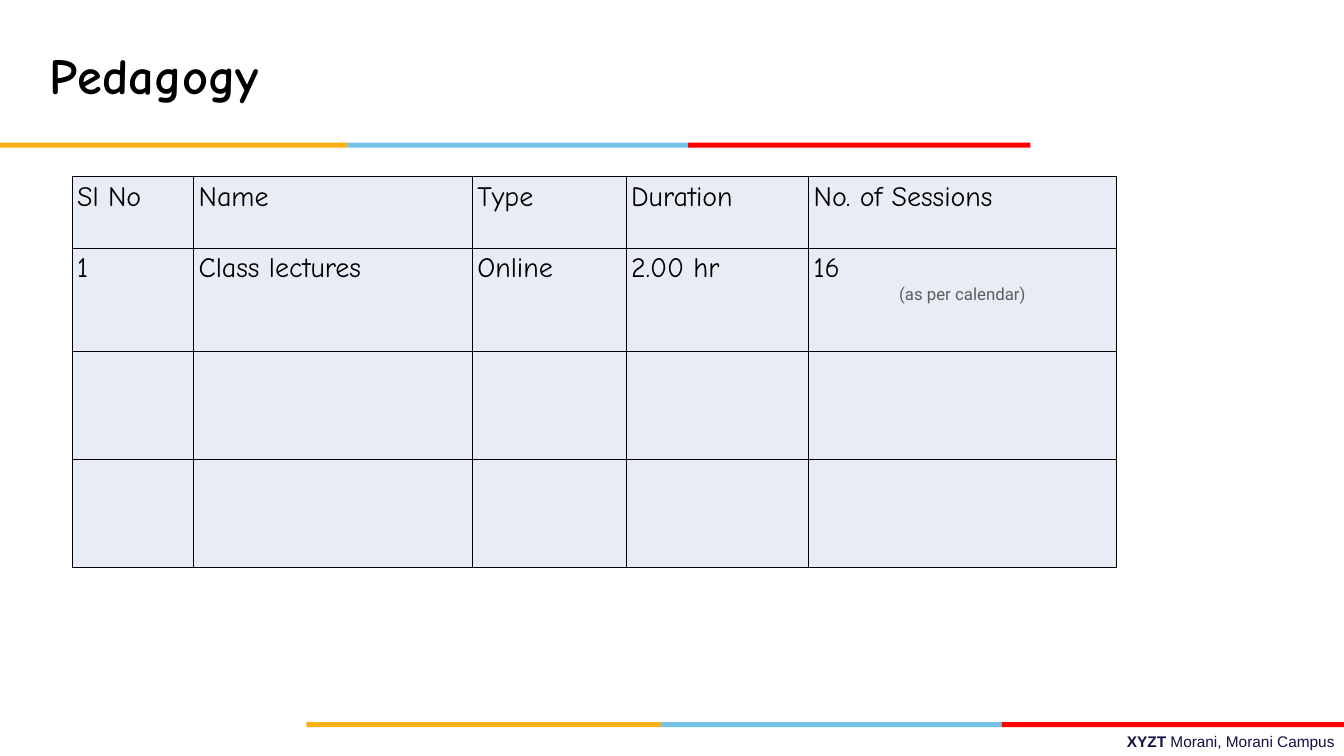
"""Build the Pedagogy slide: a title, two tricolour rules, a session table and a campus footer."""
from itertools import pairwise

from lxml import etree
from pptx import Presentation
from pptx import util as u
from pptx.dml.color import RGBColor
from pptx.enum import shapes, text
from pptx.oxml.ns import qn

WIDTH, HEIGHT = 26.66, 15
BLACK = RGBColor(0x00, 0x00, 0x00)
GREY = RGBColor(0x5E, 0x5E, 0x5E)
NAVY = RGBColor(0x10, 0x11, 0x41)
CELL = RGBColor(0xE8, 0xEC, 0xF4)
ORANGE = RGBColor(0xFC, 0xB0, 0x17)
BLUE = RGBColor(0x76, 0xC2, 0xE5)
RED = RGBColor(0xFF, 0x00, 0x00)

TITLE = "Pedagogy"
FOOTER = [("XYZT ", True), ("Morani, Morani Campus", False)]
ROWS = [
    ["Sl No", "Name", "Type", "Duration", "No. of Sessions"],
    ["1", "Class lectures", "Online", "2.00 hr", "16"],
]
SESSION_NOTE = "(as per calendar)"
COLUMN_WIDTHS = [2.41, 5.53, 3.05, 3.62, 6.1]
ROW_HEIGHTS = [1.42, 2.06, 2.14, 2.14]
RULES = [
    (2.83, [0, 6.89, 13.65, 20.44]),
    (14.33, [6.08, 13.11, 19.87, WIDTH]),
]


def add_span(para, words, size, font, color, bold=False):
    span = para.add_run()
    span.text = words
    span.font.size = u.Pt(size)
    span.font.name = font
    span.font.bold = bold
    span.font.color.rgb = color


def place(box, left, top, width, height):
    box.left, box.top = u.Inches(left), u.Inches(top)
    box.width, box.height = u.Inches(width), u.Inches(height)


def set_insets(frame, inset=0.1):
    frame.margin_left = frame.margin_right = u.Inches(inset)
    frame.margin_top = frame.margin_bottom = u.Inches(inset)
    frame.word_wrap = True


def add_rule(page, top, edges):
    for (left, right), color in zip(pairwise(edges), (ORANGE, BLUE, RED)):
        stripe = page.shapes.add_shape(
            shapes.MSO_SHAPE.RECTANGLE, u.Inches(left), u.Inches(top),
            u.Inches(right - left), u.Inches(0.1))
        stripe.shadow.inherit = False
        stripe.fill.solid()
        stripe.fill.fore_color.rgb = color
        stripe.line.fill.background()


def add_footer(page):
    box = page.shapes.add_textbox(
        u.Inches(9.66), u.Inches(14.43), u.Inches(16.91), u.Inches(0.57))
    set_insets(box.text_frame)
    para = box.text_frame.paragraphs[0]
    para.alignment = text.PP_ALIGN.RIGHT
    for words, bold in FOOTER:
        add_span(para, words, 22, "Arial", NAVY, bold)


def add_title(page):
    box = page.shapes.title
    place(box, 0.89, 0.33, 18.44, 2.5)
    set_insets(box.text_frame)
    box.text_frame.auto_size = text.MSO_AUTO_SIZE.NONE
    box.text_frame.vertical_anchor = text.MSO_ANCHOR.MIDDLE
    para = box.text_frame.paragraphs[0]
    para.alignment = text.PP_ALIGN.LEFT
    para.line_spacing = u.Pt(72)
    add_span(para, TITLE, 72, "Comic Neue", BLACK, True)


def style_cell(cell):
    properties = cell._tc.get_or_add_tcPr()
    for side in ("a:lnL", "a:lnR", "a:lnT", "a:lnB"):
        line = etree.SubElement(properties, qn(side), w=str(u.Pt(0.96)))
        fill = etree.SubElement(line, qn("a:solidFill"))
        etree.SubElement(fill, qn("a:srgbClr"), val=str(BLACK))
    cell.fill.solid()
    cell.fill.fore_color.rgb = CELL


def add_sessions(page):
    table = page.shapes.add_table(
        len(ROW_HEIGHTS), len(COLUMN_WIDTHS), u.Inches(1.43), u.Inches(3.5),
        u.Inches(sum(COLUMN_WIDTHS)), u.Inches(sum(ROW_HEIGHTS))).table
    table.first_row = table.horz_banding = False
    for column, width in zip(table.columns, COLUMN_WIDTHS):
        column.width = u.Inches(width)
    for row, height in zip(table.rows, ROW_HEIGHTS):
        row.height = u.Inches(height)
    for cell in table.iter_cells():
        style_cell(cell)
    for row, entries in zip(table.rows, ROWS):
        for cell, words in zip(row.cells, entries):
            para = cell.text_frame.paragraphs[0]
            para.line_spacing = 1.07
            add_span(para, words, 40, "Comic Neue", BLACK)
    note = table.cell(1, len(COLUMN_WIDTHS) - 1).text_frame.add_paragraph()
    note.alignment = text.PP_ALIGN.CENTER
    add_span(note, SESSION_NOTE, 24, "Roboto", GREY)


def main():
    deck = Presentation()
    deck.slide_width, deck.slide_height = u.Inches(WIDTH), u.Inches(HEIGHT)
    page = deck.slides.add_slide(deck.slide_layouts.get_by_name("Title Only"))
    add_footer(page)
    for top, edges in RULES:
        add_rule(page, top, edges)
    add_title(page)
    add_sessions(page)
    deck.save("out.pptx")


if __name__ == "__main__":
    main()
